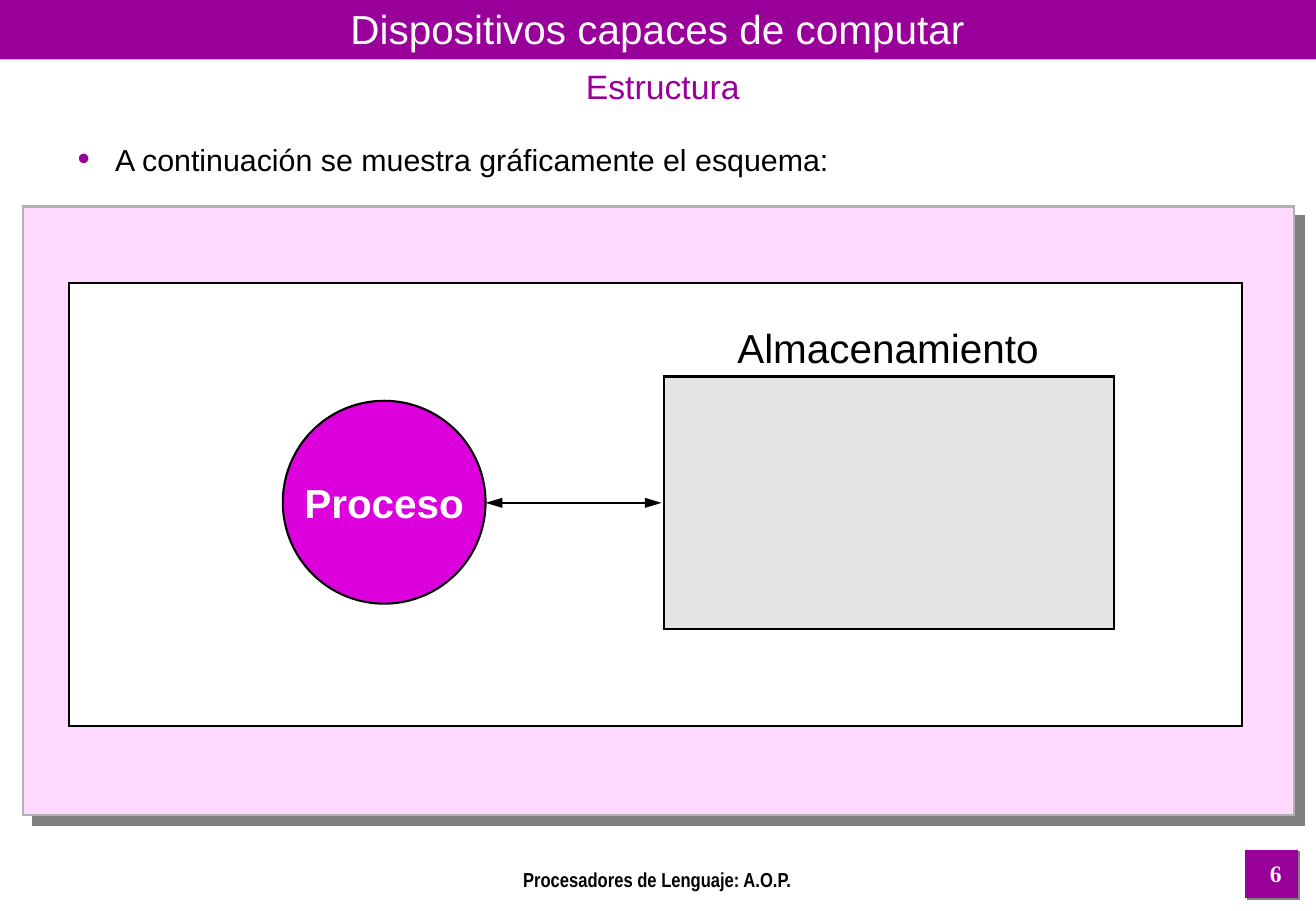
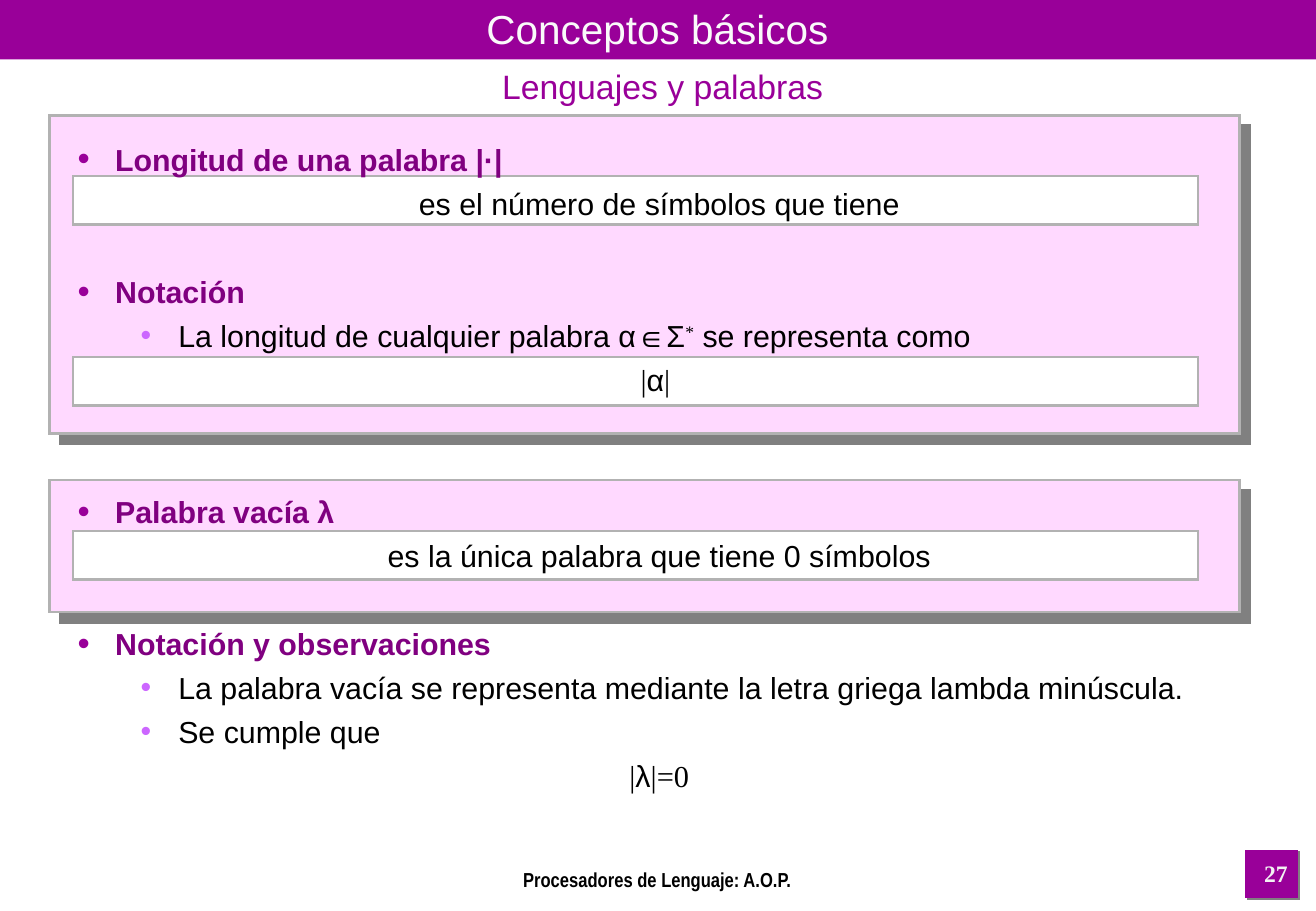
from pptx import Presentation
from pptx.dml.color import RGBColor
from pptx.enum.shapes import MSO_CONNECTOR as Connector, MSO_SHAPE as Shape
from pptx.enum.text import MSO_ANCHOR as Anchor, PP_ALIGN as Align
from pptx.oxml.ns import qn
from pptx.util import Pt
from lxml.etree import SubElement

PX = 9144
SLIDE_W, SLIDE_H = 1084, 750
PURPLE = RGBColor(0x99, 0x00, 0x99)
HEADING = RGBColor(0x80, 0x00, 0x80)
LILAC = RGBColor(0xCC, 0x66, 0xFF)
PINK = RGBColor(0xFF, 0xD9, 0xFF)
MAGENTA = RGBColor(0xDC, 0x00, 0xDC)
BLACK = RGBColor(0x00, 0x00, 0x00)
WHITE = RGBColor(0xFF, 0xFF, 0xFF)
TITLE_WHITE = RGBColor(0xFA, 0xFA, 0xFA)
NUMBER_WHITE = RGBColor(0xF2, 0xF2, 0xF2)
STORE_GREY = RGBColor(0xE4, 0xE4, 0xE4)
EDGE_GREY = RGBColor(0xB2, 0xB2, 0xB2)
SHADOW_GREY = RGBColor(0x80, 0x80, 0x80)
SANS, NARROW, SERIF = "Arial", "Arial Narrow", "Times New Roman"
BODY_SIZE = 18
PARAGRAPH_GAP = 4.5
LINE_PITCH = 26.1


def emu(*lengths):
    return [length * PX for length in lengths]


def set_font(font, size, color, bold=False, name=SANS):
    font.name = name
    font.size = Pt(size)
    font.bold = bold
    font.color.rgb = color


def add_block(slide, box, fill, edge=None, width=1.25, shadow=0, kind=Shape.RECTANGLE):
    block = slide.shapes.add_shape(kind, *emu(*box))
    block.fill.solid()
    block.fill.fore_color.rgb = fill
    if edge is None:
        block.line.fill.background()
    else:
        block.line.color.rgb = edge
        block.line.width = Pt(width)
        SubElement(block.line._get_or_add_ln(), qn("a:miter"), lim="800000")
    block.shadow.inherit = False
    if shadow:
        effects = block._element.spPr.find(qn("a:effectLst"))
        outer = SubElement(effects, qn("a:outerShdw"), blurRad="0", dist=str(Pt(shadow)),
                           dir="2700000", algn="ctr", rotWithShape="0")
        SubElement(outer, qn("a:srgbClr"), val=str(SHADOW_GREY))
    return block


def add_panel(slide, box):
    add_block(slide, box, PINK, EDGE_GREY, 1.5, shadow=8.5)


def write_centred(holder, text, size, color, anchor=Anchor.TOP, wrap=True, **style):
    frame = holder.text_frame
    frame.word_wrap = wrap
    frame.vertical_anchor = anchor
    paragraph = frame.paragraphs[0]
    paragraph.alignment = Align.CENTER
    paragraph.add_run().text = text
    set_font(paragraph.font, size, color, **style)


def add_label(slide, box, text, size, color, **style):
    write_centred(slide.shapes.add_textbox(*emu(*box)), text, size, color, **style)


def add_arrow(slide, start, end):
    arrow = slide.shapes.add_connector(Connector.STRAIGHT, *emu(*start, *end))
    arrow.line.color.rgb = BLACK
    arrow.line.width = Pt(1.25)
    outline = arrow.line._get_or_add_ln()
    for tip in ("a:headEnd", "a:tailEnd"):
        SubElement(outline, qn(tip), type="triangle", w="med", len="lg")
    SubElement(arrow._element.spPr, qn("a:effectLst"))


def set_bullet(paragraph, level):
    margin, color, percent = ((31, PURPLE, 115), (83, LILAC, 100))[level]
    paragraph.level = level
    properties = paragraph._p.get_or_add_pPr()
    properties.set("marL", str(margin * PX))
    properties.set("indent", str(-31 * PX))
    SubElement(SubElement(properties, qn("a:buClr")), qn("a:srgbClr"), val=str(color))
    SubElement(properties, qn("a:buSzPct"), val=str(percent * 1000))
    SubElement(properties, qn("a:buFont"), typeface=SANS)
    SubElement(properties, qn("a:buChar"), char="•")


def add_body(slide, height, items):
    frame = slide.shapes.add_textbox(*emu(54, 111, 978, height)).text_frame
    frame.word_wrap = True
    for index, (role, skipped_lines, runs) in enumerate(items):
        paragraph = frame.add_paragraph() if index else frame.paragraphs[0]
        if role == "centred":
            paragraph.alignment = Align.CENTER
        else:
            set_bullet(paragraph, int(role == "detail"))
        if index:
            paragraph.space_before = Pt(PARAGRAPH_GAP + skipped_lines * LINE_PITCH)
        heading = role == "heading"
        set_font(paragraph.font, BODY_SIZE, HEADING if heading else BLACK, heading)
        for text, *serif_style in runs:
            run = paragraph.add_run()
            run.text = text
            if serif_style:
                run.font.name = SERIF
            if "superscript" in serif_style:
                run._r.get_or_add_rPr().set("baseline", "30000")


def start_slide(deck, title, subtitle, number):
    slide = deck.slides.add_slide(deck.slide_layouts[6])
    add_block(slide, (0, 0, SLIDE_W, 49), PURPLE)
    add_block(slide, (1026, 700, 43, 39), PURPLE, PURPLE, 0.75, shadow=1.4)
    add_label(slide, (0, 6, 1083, 35), title, 24, TITLE_WHITE, anchor=Anchor.MIDDLE)
    add_label(slide, (8, 49, 1076, 44), subtitle, 20, PURPLE)
    add_label(slide, (301, 709, 481, 18), "Procesadores de Lenguaje: A.O.P.", 12, BLACK,
              bold=True, name=NARROW)
    add_label(slide, (1024, 702, 54, 35), str(number), 14, NUMBER_WHITE, bold=True, name=SERIF)
    return slide


def build_structure(deck):
    slide = start_slide(deck, "Dispositivos capaces de computar", "Estructura", 6)
    add_panel(slide, (19, 170, 1047, 501))
    add_block(slide, (57, 233, 966, 365), WHITE, BLACK)
    add_body(slide, 40, [
        ("point", 0, [("A continuación se muestra gráficamente el esquema:",)]),
    ])
    add_arrow(slide, (400, 414), (545, 414))
    process = add_block(slide, (233, 330, 167, 167), MAGENTA, BLACK, kind=Shape.OVAL)
    write_centred(process, "Proceso", 24, WHITE, anchor=Anchor.MIDDLE, wrap=False, bold=True)
    add_block(slide, (547, 310, 371, 208), STORE_GREY, BLACK)
    add_label(slide, (513, 261, 437, 50), "Almacenamiento", 24, BLACK)


def build_words(deck):
    slide = start_slide(deck, "Conceptos básicos", "Lenguajes y palabras", 27)
    for top, height in ((95, 262), (395, 109)):
        add_panel(slide, (41, top, 980, height))
    for top in (145, 294, 437):
        add_block(slide, (60, top, 927, 40), WHITE, EDGE_GREY, 1.5)
    add_body(slide, 620, [
        ("heading", 0, [("Longitud de una palabra |·|",)]),
        ("centred", 0, [("es el número de símbolos que tiene",)]),
        ("heading", 1, [("Notación",)]),
        ("detail", 0, [("La longitud de cualquier palabra α∈Σ",), ("*", "serif", "superscript"),
                       (" se representa como",)]),
        ("centred", 0, [("|", "serif"), ("α",), ("| ", "serif")]),
        ("heading", 2, [("Palabra vacía λ",)]),
        ("centred", 0, [("es la única palabra que tiene 0 símbolos",)]),
        ("heading", 1, [("Notación y observaciones",)]),
        ("detail", 0, [("La palabra vacía se representa mediante la letra griega "
                        "lambda minúscula.",)]),
        ("detail", 0, [("Se cumple que",)]),
        ("centred", 0, [("|", "serif"), ("λ",), ("|=0", "serif")]),
    ])


def main():
    deck = Presentation()
    deck.slide_width, deck.slide_height = emu(SLIDE_W, SLIDE_H)
    build_structure(deck)
    build_words(deck)
    deck.save("out.pptx")


if __name__ == "__main__":
    main()
